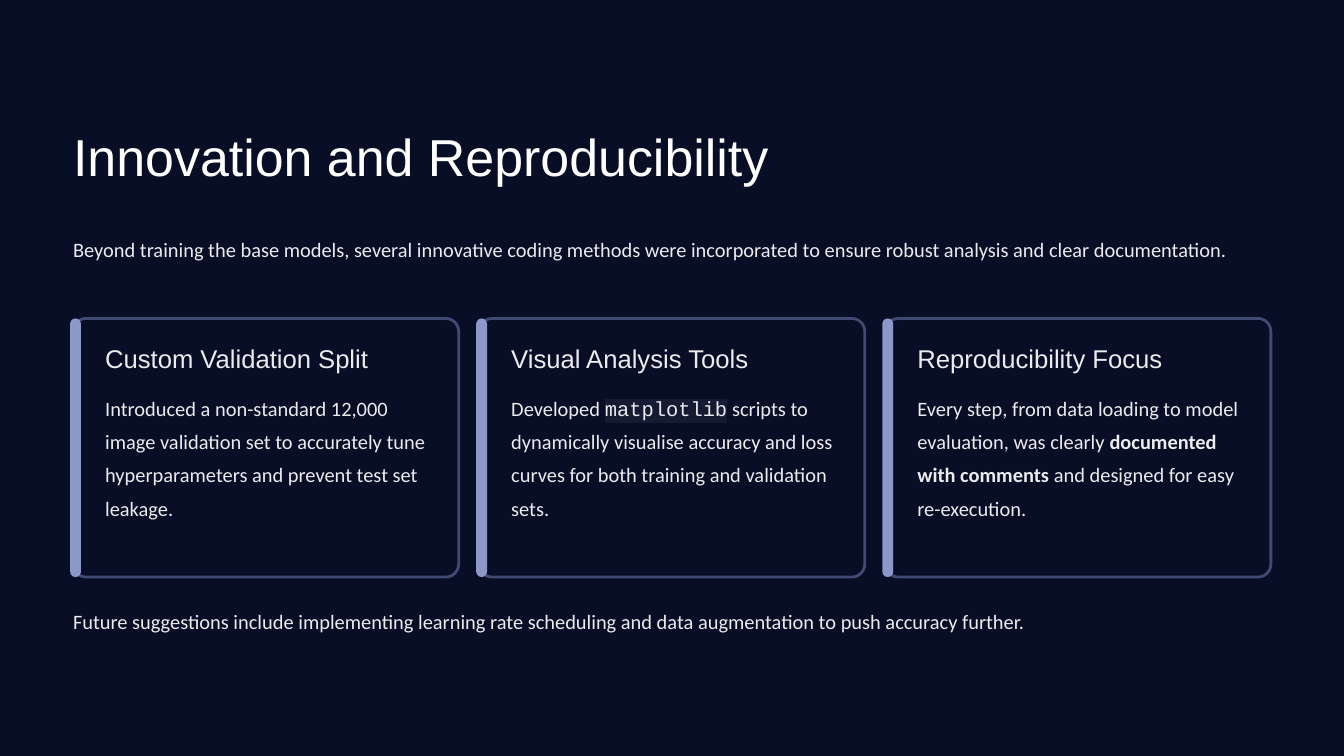
from lxml.etree import SubElement
from pptx import Presentation
from pptx.dml.color import RGBColor
from pptx.enum.shapes import MSO_SHAPE
from pptx.enum.text import MSO_ANCHOR, MSO_AUTO_SIZE, PP_ALIGN
from pptx.oxml.ns import qn
from pptx.util import Cm, Pt

NAVY = RGBColor(0x08, 0x0E, 0x26)
WHITE = RGBColor(0xFF, 0xFF, 0xFF)
PALE = RGBColor(0xEB, 0xEC, 0xEF)
BORDER = RGBColor(0x41, 0x4A, 0x70)
LAVENDER = RGBColor(0x8C, 0x98, 0xCA)
CODE_SHADE = RGBColor(0x15, 0x1B, 0x33)

TITLE = {"name": "Arial", "size": Pt(44.5), "color": WHITE, "spacing": Pt(55.5)}
HEADING = {"name": "Arial", "size": Pt(22), "color": PALE, "spacing": Pt(27.5)}
BODY = {"name": "Calibri", "size": Pt(17.5), "color": PALE, "spacing": Pt(28.5)}
PLAIN = {}
BOLD = {"bold": True}
CODE = {"name": "Courier New", "highlight": CODE_SHADE}

LEFT, CONTENT_WIDTH = 2.21, 36.22
CARD_TOP, CARD_WIDTH, CARD_HEIGHT, CARD_PITCH = 9.63, 11.66, 7.82, 12.28
CARD_PADDING = 0.97

CARDS = [
    ("Custom Validation Split", [
        ("Introduced a non-standard 12,000 image validation set to accurately tune "
         "hyperparameters and prevent test set leakage.", PLAIN)]),
    ("Visual Analysis Tools", [
        ("Developed ", PLAIN),
        ("matplotlib", CODE),
        (" scripts to dynamically visualise accuracy and loss curves for both "
         "training and validation sets.", PLAIN)]),
    ("Reproducibility Focus", [
        ("Every step, from data loading to model evaluation, was clearly ", PLAIN),
        ("documented with comments", BOLD),
        (" and designed for easy re-execution.", PLAIN)]),
]


class SlideBuilder:
    """Holds the current slide and draws its elements in one style."""

    def __init__(self, presentation):
        """Add a title-only slide with a navy background."""
        self.slide = presentation.slides.add_slide(presentation.slide_layouts[5])
        fill = self.slide.background.fill
        fill.solid()
        fill.fore_color.rgb = NAVY

    def place(self, shape, left, top, width, height):
        """Move and size a shape, in centimetres."""
        box = {"left": left, "top": top, "width": width, "height": height}
        for name, value in box.items():
            setattr(shape, name, Cm(value))

    def format_run(self, run, style):
        """Apply a style's font values and highlight to a run."""
        run.font.color.rgb = style["color"]
        for name in ("name", "size", "bold"):
            if name in style:
                setattr(run.font, name, style[name])
        if "highlight" in style:
            properties = run._r.get_or_add_rPr()
            highlight = SubElement(properties, qn("a:highlight"))
            SubElement(highlight, qn("a:srgbClr"), val=str(style["highlight"]))
            properties.find(qn("a:solidFill")).addnext(highlight)

    def fill_text(self, shape, runs, style, wrap=True):
        """Fill a shape with one paragraph of styled runs."""
        frame_format = {"margin_left": 0, "margin_top": 0, "margin_right": 0,
                        "margin_bottom": 0, "vertical_anchor": MSO_ANCHOR.TOP,
                        "auto_size": MSO_AUTO_SIZE.NONE, "word_wrap": wrap}
        for name, value in frame_format.items():
            setattr(shape.text_frame, name, value)
        paragraph = shape.text_frame.paragraphs[0]
        paragraph.alignment = PP_ALIGN.LEFT
        paragraph.line_spacing = style["spacing"]
        for text, changes in runs:
            run = paragraph.add_run()
            run.text = text
            self.format_run(run, {**style, **changes})

    def title(self, text, *box):
        """Move the title placeholder and fill in the title."""
        shape = self.slide.shapes.title
        self.place(shape, *box)
        self.fill_text(shape, [(text, PLAIN)], TITLE, wrap=False)

    def text(self, runs, style, *box, wrap=True):
        """Add a text box."""
        shape = self.slide.shapes.add_textbox(0, 0, 0, 0)
        self.place(shape, *box)
        self.fill_text(shape, runs, style, wrap)

    def panel(self, fill, line, rounding, *box):
        """Add a rounded rectangle with an optional outline."""
        shape = self.slide.shapes.add_shape(MSO_SHAPE.ROUNDED_RECTANGLE, 0, 0, 0, 0)
        self.place(shape, *box)
        shape.shadow.inherit = False
        shape.adjustments[0] = rounding
        shape.fill.solid()
        shape.fill.fore_color.rgb = fill
        if line is None:
            shape.line.fill.background()
        else:
            shape.line.color.rgb = line
            shape.line.width = Pt(2.4)

    def card(self, left, heading, runs):
        """Add an outlined card with an accent bar, heading and body."""
        self.panel(NAVY, BORDER, 0.05, left, CARD_TOP, CARD_WIDTH, CARD_HEIGHT)
        self.panel(LAVENDER, None, 0.5, left - 0.09, CARD_TOP, 0.33, CARD_HEIGHT)
        text_left = left + CARD_PADDING
        self.text([(heading, PLAIN)], HEADING, text_left, CARD_TOP + 0.71, 8.86, 0.99,
                  wrap=False)
        self.text(runs, BODY, text_left, CARD_TOP + 2.08, 9.98, 5.03)


def main():
    """Build and save the slide."""
    presentation = Presentation()
    presentation.slide_width = Cm(40.64)
    presentation.slide_height = Cm(22.86)
    builder = SlideBuilder(presentation)
    builder.title("Innovation and Reproducibility", LEFT, 3.68, 23.5, 1.98)
    builder.text([("Beyond training the base models, several innovative coding methods were "
                   "incorporated to ensure robust analysis and clear documentation.", PLAIN)],
                 BODY, LEFT, 6.91, CONTENT_WIDTH, 2.01)
    for index, (heading, runs) in enumerate(CARDS):
        builder.card(LEFT + index * CARD_PITCH, heading, runs)
    builder.text([("Future suggestions include implementing learning rate scheduling and data "
                   "augmentation to push accuracy further.", PLAIN)],
                 BODY, LEFT, 18.16, CONTENT_WIDTH, 1.02, wrap=False)
    presentation.save("out.pptx")


if __name__ == "__main__":
    main()
